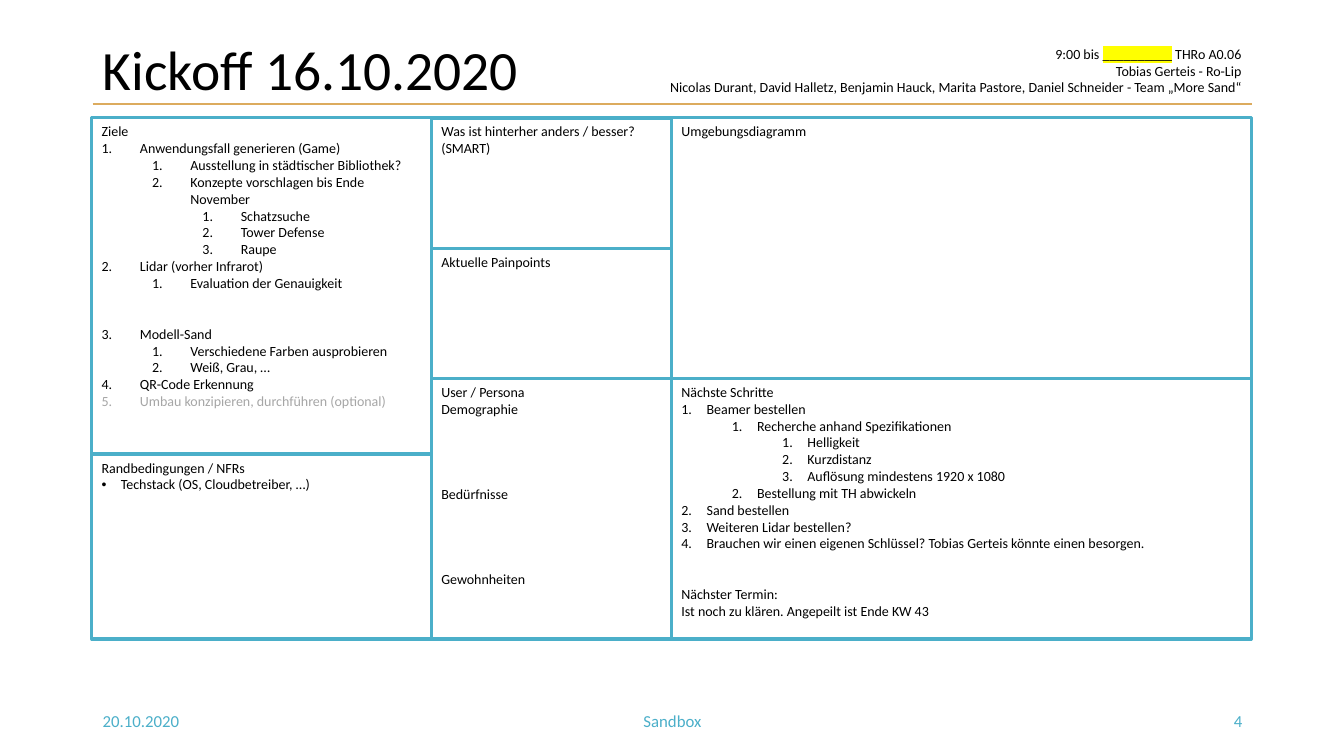
from lxml import etree
from pptx import Presentation
from pptx.dml.color import RGBColor
from pptx.enum.shapes import MSO_CONNECTOR, MSO_SHAPE
from pptx.enum.text import MSO_ANCHOR, MSO_AUTO_SIZE, PP_ALIGN
from pptx.oxml.ns import qn
from pptx.util import Inches, Pt

BLACK = RGBColor(0x00, 0x00, 0x00)
TEAL = RGBColor(0x4B, 0xAF, 0xC9)
GOLD = RGBColor(0xDC, 0xAB, 0x5E)
GREY = RGBColor(0xA6, 0xA6, 0xA6)
FONT = "Calibri"
BODY, SMALL, TITLE = 10, 12, 39.6
LINE_HEIGHT = 12.2       # one body line, in points
LEVEL_STEP = 0.5         # indent per list level, in inches

# Slide regions: left, top, width, height in inches
TITLE_BOX = (0.92, 0.4, 11.5, 0.63)
MEETING_BOX = (5.65, 0.4, 6.76, 0.77)
CANVAS_BOX = (0.91, 1.17, 11.5, 5.17)
FOOTER_BOX = (0.92, 6.95, 11.5, 0.4)

# Canvas grid, as shares of its width and height
X0, X1, X2, X3 = 0, 0.293, 0.5, 1
Y0, Y1, Y2, Y3 = 0, 0.25, 0.5, 1
Y_LEFT = 0.645

# Paragraphs: (text, list level or None, blank lines before, colour)
def plain(text, gap=0):
    return text, None, gap, BLACK


def item(text, level=0, gap=0, color=BLACK):
    return text, level, gap, color


GOALS = [
    plain("Ziele"),
    item("Anwendungsfall generieren (Game)"),
    item("Ausstellung in städtischer Bibliothek?", 1),
    item("Konzepte vorschlagen bis Ende November", 1),
    item("Schatzsuche", 2), item("Tower Defense", 2), item("Raupe", 2),
    item("Lidar (vorher Infrarot)"),
    item("Evaluation der Genauigkeit", 1),
    item("Modell-Sand", gap=2),
    item("Verschiedene Farben ausprobieren", 1),
    item("Weiß, Grau, …", 1),
    item("QR-Code Erkennung"),
    item("Umbau konzipieren, durchführen (optional)", color=GREY),
]
NEXT_STEPS = [
    plain("Nächste Schritte"),
    item("Beamer bestellen"),
    item("Recherche anhand Spezifikationen", 1),
    item("Helligkeit", 2), item("Kurzdistanz", 2),
    item("Auflösung mindestens 1920 x 1080", 2),
    item("Bestellung mit TH abwickeln", 1),
    item("Sand bestellen"),
    item("Weiteren Lidar bestellen?"),
    item("Brauchen wir einen eigenen Schlüssel? "
         "Tobias Gerteis könnte einen besorgen."),
    plain("Nächster Termin:", 2),
    plain("Ist noch zu klären. Angepeilt ist Ende KW 43"),
]
PERSONA = [plain("User / Persona"), plain("Demographie"),
           plain("Bedürfnisse", 4), plain("Gewohnheiten", 4)]
CONSTRAINTS = [plain("Randbedingungen / NFRs"),
               item("Techstack (OS, Cloudbetreiber, …)")]
OUTCOME = [plain("Was ist hinterher anders / besser?"), plain("(SMART)")]

# Panels: left, top, right, bottom, paragraphs, hanging indent, bullet
PANELS = [
    (X0, Y0, X1, Y_LEFT, GOALS, 0.38, None),
    (X1, Y1, X2, Y2, [plain("Aktuelle Painpoints")], 0, None),
    (X0, Y_LEFT, X1, Y3, CONSTRAINTS, 0.19, "•"),
    (X2, Y0, X3, Y2, [plain("Umgebungsdiagramm")], 0, None),
    (X1, Y0, X2, Y1, OUTCOME, 0, None),
    (X1, Y2, X2, Y3, PERSONA, 0, None),
    (X2, Y2, X3, Y3, NEXT_STEPS, 0.25, None),
]


def add_run(paragraph, text, size, color=BLACK):
    run = paragraph.add_run()
    run.text = text
    run.font.size, run.font.name = Pt(size), FONT
    run.font.color.rgb = color
    return run


def highlight(run, color):
    fill = run.font._element.find(qn("a:solidFill"))
    mark = etree.Element(qn("a:highlight"))
    etree.SubElement(mark, qn("a:srgbClr"), val=color)
    fill.addnext(mark)


def make_list_item(paragraph, level, hang, bullet):
    paragraph.level = level
    props = paragraph._p.get_or_add_pPr()
    props.set("marL", str(Inches(level * LEVEL_STEP + hang)))
    props.set("indent", str(-Inches(hang)))
    etree.SubElement(props, qn("a:buFont"), typeface="Arial" if bullet else "+mj-lt")
    if bullet:
        etree.SubElement(props, qn("a:buChar"), char=bullet)
    else:
        etree.SubElement(props, qn("a:buAutoNum"), type="arabicPeriod")


def add_text_box(slide, box, anchor):
    frame = slide.shapes.add_textbox(*map(Inches, box)).text_frame
    frame.word_wrap = True
    frame.vertical_anchor = anchor
    return frame


def add_title(slide, box, text):
    left, top, width, height = box
    # Rule under the title
    rule = slide.shapes.add_connector(
        MSO_CONNECTOR.STRAIGHT, Inches(left), Inches(top + height),
        Inches(left + width), Inches(top + height))
    rule.line.color.rgb, rule.line.width = GOLD, Pt(1.5)
    etree.SubElement(rule._element.spPr, qn("a:effectLst"))
    # Title placeholder
    title = slide.shapes.title
    title.left, title.top, title.width, title.height = map(Inches, box)
    frame = title.text_frame
    frame.auto_size = MSO_AUTO_SIZE.NONE
    frame.vertical_anchor = MSO_ANCHOR.MIDDLE
    paragraph = frame.paragraphs[0]
    paragraph.alignment, paragraph.line_spacing = PP_ALIGN.LEFT, 0.9
    add_run(paragraph, text, TITLE)


def add_meeting_details(slide, box):
    frame = add_text_box(slide, box, MSO_ANCHOR.TOP)
    when = frame.paragraphs[0]
    add_run(when, "9:00 bis ", BODY)
    highlight(add_run(when, "__________", BODY), "FFFF00")
    add_run(when, " THRo A0.06", BODY)
    for text in ("Tobias Gerteis - Ro-Lip",
                 "Nicolas Durant, David Halletz, Benjamin Hauck, Marita Pastore, "
                 "Daniel Schneider - Team „More Sand“"):
        add_run(frame.add_paragraph(), text, BODY)
    for paragraph in frame.paragraphs:
        paragraph.alignment = PP_ALIGN.RIGHT


def add_panel(slide, box, paragraphs, hang, bullet):
    panel = slide.shapes.add_shape(MSO_SHAPE.RECTANGLE, *map(Inches, box))
    panel.shadow.inherit = False
    panel.fill.background()
    panel.line.color.rgb, panel.line.width = TEAL, Pt(2.25)
    frame = panel.text_frame
    frame.word_wrap = True
    frame.vertical_anchor = MSO_ANCHOR.TOP
    for index, (text, level, gap, color) in enumerate(paragraphs):
        paragraph = frame.add_paragraph() if index else frame.paragraphs[0]
        paragraph.alignment = PP_ALIGN.LEFT
        paragraph.space_before = Pt(gap * LINE_HEIGHT)
        if level is not None:
            make_list_item(paragraph, level, hang, bullet)
        add_run(paragraph, text, BODY, color)


def add_canvas(slide, box):
    left, top, width, height = box
    for x0, y0, x1, y1, paragraphs, hang, bullet in PANELS:
        cell = (left + x0 * width, top + y0 * height,
                (x1 - x0) * width, (y1 - y0) * height)
        add_panel(slide, cell, paragraphs, hang, bullet)


def add_footer(slide, box):
    left, top, width, height = box
    side, middle = 3, width - 6
    for x, w, text, align in ((0, side, "20.10.2020", PP_ALIGN.LEFT),
                              (side, middle, "Sandbox", PP_ALIGN.CENTER),
                              (side + middle, side, "4", PP_ALIGN.RIGHT)):
        frame = add_text_box(slide, (left + x, top, w, height), MSO_ANCHOR.MIDDLE)
        frame.paragraphs[0].alignment = align
        add_run(frame.paragraphs[0], text, SMALL, TEAL)


prs = Presentation()
prs.slide_width, prs.slide_height = Inches(13.33), Inches(7.5)
kickoff = prs.slides.add_slide(prs.slide_layouts[5])
add_title(kickoff, TITLE_BOX, "Kickoff 16.10.2020")
add_meeting_details(kickoff, MEETING_BOX)
add_canvas(kickoff, CANVAS_BOX)
add_footer(kickoff, FOOTER_BOX)
prs.save("out.pptx")
